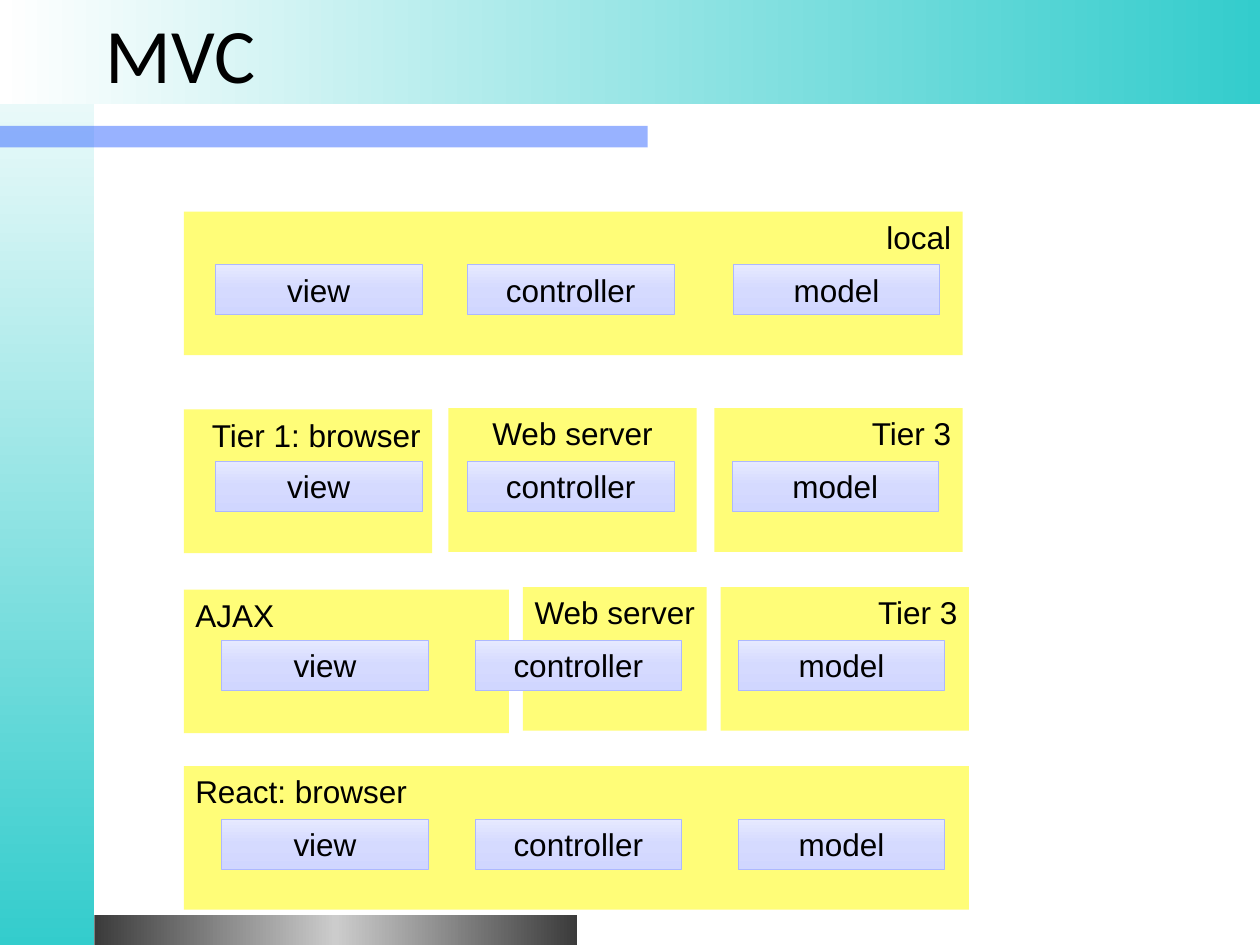
"""Build the MVC slide comparing where view, controller and model run."""
from lxml import etree
from pptx import Presentation
from pptx.dml.color import RGBColor
from pptx.enum import shapes, text
from pptx.oxml import ns
from pptx.util import Inches, Pt

COLORS = {
    "panel": "FFFD78", "chip_line": "ADB8FF", "text": "000000", "rule": "3366FF",
    "white": "FFFFFF", "teal": "33CCCC", "dark": "3B3B3B", "silver": "CCCCCC",
    "chip_top": "E6E9FF", "chip_middle": "D5DAFF", "chip_bottom": "D0D6FF",
}
CHIP_GRADIENT = ("chip_top", "chip_middle", "chip_bottom")
BANDS = [
    ((-0.04, 0.01, 0.79, 7.5), ("white", "teal"), 90),
    ((-0.03, 1, 5.17, 0.17), ("rule",), 0),
    ((0.75, 7.26, 3.83, 0.25), ("dark", "silver", "dark"), 0),
    ((0, 0, 10, 0.83), ("white", "teal"), 0),
]
PANEL_HEIGHT = 1.14
CHIP_WIDTH, CHIP_HEIGHT = 1.64, 0.4
CHIPS = ("view", "controller", "model")
LEFT, CENTER, RIGHT = text.PP_ALIGN.LEFT, text.PP_ALIGN.CENTER, text.PP_ALIGN.RIGHT
ROWS = [
    {"panels": [("local", 1.46, 1.68, 6.18, RIGHT)],
     "chip_lefts": (1.71, 3.71, 5.82), "chip_top": 2.1},
    {"panels": [("Tier 1: browser", 1.46, 3.25, 1.97, RIGHT),
                ("Web server", 3.56, 3.24, 1.97, CENTER),
                ("Tier 3", 5.67, 3.24, 1.97, RIGHT)],
     "chip_lefts": (1.71, 3.71, 5.81), "chip_top": 3.66},
    {"panels": [("AJAX", 1.46, 4.68, 2.58, LEFT),
                ("Web server", 4.15, 4.66, 1.46, CENTER),
                ("Tier 3", 5.72, 4.66, 1.97, RIGHT)],
     "chip_lefts": (1.76, 3.77, 5.86), "chip_top": 5.08},
    {"panels": [("React: browser", 1.46, 6.08, 6.23, LEFT)],
     "chip_lefts": (1.76, 3.77, 5.86), "chip_top": 6.5},
]


def color(name):
    return RGBColor.from_string(COLORS[name])


def fill_gradient(shape, names, angle):
    shape.fill.gradient()
    gradient = shape._element.spPr.find(ns.qn("a:gradFill"))
    gradient.find(ns.qn("a:lin")).set("ang", str(angle * 60000))
    stops = gradient.find(ns.qn("a:gsLst"))
    for stop in list(stops):
        stops.remove(stop)
    for index, name in enumerate(names):
        position = str(100000 * index // (len(names) - 1))
        stop = etree.SubElement(stops, ns.qn("a:gs"), pos=position)
        etree.SubElement(stop, ns.qn("a:srgbClr"), val=COLORS[name])


def add_box(slide, place, fills, angle=90, line=None):
    shape = slide.shapes.add_shape(shapes.MSO_SHAPE.RECTANGLE, *map(Inches, place))
    shape.shadow.inherit = False
    if len(fills) > 1:
        fill_gradient(shape, fills, angle)
    else:
        shape.fill.solid()
        shape.fill.fore_color.rgb = color(fills[0])
    if line:
        shape.line.color.rgb = color(line)
        shape.line.width = Pt(0.5)
    else:
        shape.line.fill.background()
    return shape


def write(shape, words, alignment, size=18, font="Arial", anchor=text.MSO_ANCHOR.TOP):
    frame = shape.text_frame
    frame.text = words
    frame.vertical_anchor = anchor
    paragraph = frame.paragraphs[0]
    paragraph.alignment = alignment
    paragraph.font.size = Pt(size)
    paragraph.font.name = font
    paragraph.font.color.rgb = color("text")


presentation = Presentation()
presentation.slide_width, presentation.slide_height = Inches(10), Inches(7.5)
slide = presentation.slides.add_slide(presentation.slide_layouts[5])

for place, fills, angle in BANDS:
    band = add_box(slide, place, fills, angle)
    if fills == ("rule",):
        rule_color = band._element.spPr.find(".//" + ns.qn("a:srgbClr"))
        etree.SubElement(rule_color, ns.qn("a:alpha"), val="50000")

title = slide.shapes.title
title.left, title.top, title.width, title.height = map(Inches, (0.74, 0, 8.51, 0.84))
write(title, "MVC", LEFT, 44, "Calibri", text.MSO_ANCHOR.MIDDLE)
slide.shapes._spTree.append(title._element)

for row in ROWS:
    for label, left, top, width, alignment in row["panels"]:
        panel = add_box(slide, (left, top, width, PANEL_HEIGHT), ("panel",))
        write(panel, label, alignment)
        panel.text_frame.margin_left = panel.text_frame.margin_right = Inches(0.09)
    for label, left in zip(CHIPS, row["chip_lefts"]):
        place = (left, row["chip_top"], CHIP_WIDTH, CHIP_HEIGHT)
        chip = add_box(slide, place, CHIP_GRADIENT, line="chip_line")
        write(chip, label, CENTER)
        chip.text_frame.auto_size = text.MSO_AUTO_SIZE.SHAPE_TO_FIT_TEXT

presentation.save("out.pptx")
